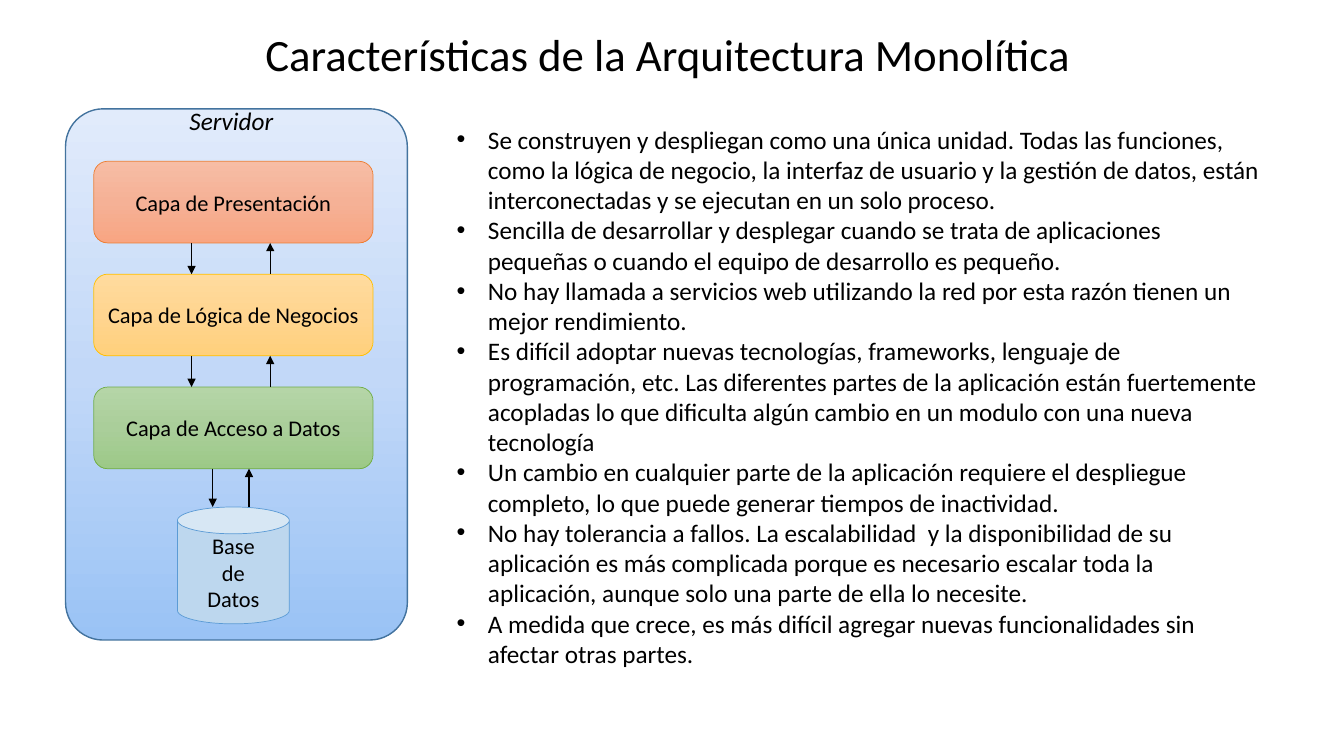
from copy import deepcopy

from lxml.etree import SubElement
from pptx import Presentation
from pptx.dml.color import RGBColor
from pptx.enum.shapes import MSO_CONNECTOR, MSO_SHAPE
from pptx.enum.text import MSO_ANCHOR, MSO_AUTO_SIZE, PP_ALIGN
from pptx.oxml.ns import qn
from pptx.util import Inches, Pt

FONT = "Calibri"
BLACK = "000000"
TITLE = "Características de la Arquitectura Monolítica"
LAYERS = [
    ("Capa de Presentación", ("F7BDA5", "F5B196", "F8A582"), "ED7D31"),
    ("Capa de Lógica de Negocios", ("FFDB9E", "FFD590", "FFD07C"), "FFC000"),
    ("Capa de Acceso a Datos", ("B5D5A7", "AACE9A", "9CC987"), "70AD47"),
]
FEATURES = [
    "Se construyen y despliegan como una única unidad. Todas las funciones, como la lógica de negocio, la interfaz de usuario y la gestión de datos, están interconectadas y se ejecutan en un solo proceso.",
    "Sencilla de desarrollar y desplegar cuando se trata de aplicaciones pequeñas o cuando el equipo de desarrollo es pequeño.",
    "No hay llamada a servicios web utilizando la red por esta razón tienen un mejor rendimiento.",
    "Es difícil adoptar nuevas tecnologías, frameworks, lenguaje de programación, etc. Las diferentes partes de la aplicación están fuertemente acopladas lo que dificulta algún cambio en un modulo con una nueva tecnología",
    "Un cambio en cualquier parte de la aplicación requiere el despliegue completo, lo que puede generar tiempos de inactividad.",
    "No hay tolerancia a fallos. La escalabilidad  y la disponibilidad de su aplicación es más complicada porque es necesario escalar toda la aplicación, aunque solo una parte de ella lo necesite.",
    "A medida que crece, es más difícil agregar nuevas funcionalidades sin afectar otras partes.",
]


def color(value):
    return RGBColor.from_string(value)


def place(shape, left, top, width, height):
    shape.left, shape.top = Inches(left), Inches(top)
    shape.width, shape.height = Inches(width), Inches(height)


def style_paragraph(para, size, align=PP_ALIGN.CENTER, italic=False):
    para.alignment = align
    para.space_before = Pt(0)
    para.font.name = FONT
    para.font.size = Pt(size)
    para.font.italic = italic
    para.font.color.rgb = color(BLACK)


def add_outlined(page, kind, box, line, width, adjustment):
    shape = page.shapes.add_shape(kind, *map(Inches, box))
    shape.shadow.inherit = False
    shape.adjustments[0] = adjustment
    shape.line.color.rgb = color(line)
    shape.line.width = Pt(width)
    return shape


def fill_gradient(shape, colors):
    shape.fill.gradient()
    shape.fill.gradient_angle = 270
    stop_list = shape.element.spPr.find(qn("a:gradFill")).find(qn("a:gsLst"))
    stop_list.insert(1, deepcopy(stop_list[0]))
    for index, stop in enumerate(shape.fill.gradient_stops):
        stop.position = index / 2
        stop.color.rgb = color(colors[index])


def add_label(shape, text, side_margin, wrap):
    frame = shape.text_frame
    frame.word_wrap = wrap
    frame.vertical_anchor = MSO_ANCHOR.MIDDLE
    frame.margin_left = frame.margin_right = Inches(side_margin)
    frame.margin_top = frame.margin_bottom = 0
    frame.text = text
    style_paragraph(frame.paragraphs[0], 16)


def add_arrow(page, x, start, end):
    arrow = page.shapes.add_connector(
        MSO_CONNECTOR.STRAIGHT, Inches(x), Inches(start), Inches(x), Inches(end))
    arrow.line.color.rgb = color(BLACK)
    arrow.line.width = Pt(1)
    SubElement(arrow.line._get_or_add_ln(), qn("a:tailEnd"), type="triangle")
    SubElement(arrow.element.spPr, qn("a:effectLst"))


def add_arrow_pair(page, down_x, up_x, top, bottom):
    add_arrow(page, down_x, top, bottom)
    add_arrow(page, up_x, bottom, top)


def add_title(page, left, top, width, height):
    title = page.shapes.title
    place(title, left, top, width, height)
    frame = title.text_frame
    frame.auto_size = MSO_AUTO_SIZE.NONE
    frame.word_wrap = False
    frame.vertical_anchor = MSO_ANCHOR.MIDDLE
    frame.text = TITLE
    style_paragraph(frame.paragraphs[0], 32)


def add_server(page, left, top, width, height):
    server = add_outlined(page, MSO_SHAPE.ROUNDED_RECTANGLE,
                          (left, top, width, height), "43739E", 1, 0.11)
    fill_gradient(server, ("E1EBFB", "C2D8F8", "9AC3F5"))

    caption = page.shapes.add_textbox(
        Inches(left + 1.07), Inches(top - 0.08), Inches(1.15), Inches(0.4))
    caption.text_frame.word_wrap = True
    caption.text_frame.text = "Servidor"
    style_paragraph(caption.text_frame.paragraphs[0], 18, italic=True)

    layer_left, layer_top = left + 0.28, top + 0.52
    layer_width, layer_height, gap = 2.77, 0.81, 0.31
    for index, (text, colors, line) in enumerate(LAYERS):
        y = layer_top + index * (layer_height + gap)
        layer = add_outlined(page, MSO_SHAPE.ROUNDED_RECTANGLE,
                             (layer_left, y, layer_width, layer_height), line, 0.5, 0.17)
        fill_gradient(layer, colors)
        add_label(layer, text, 0, False)
        if index:
            add_arrow_pair(page, left + 1.25, left + 2.03, y - gap, y)

    database_top = top + 3.95
    database = add_outlined(page, MSO_SHAPE.CAN,
                            (left + 1.11, database_top, 1.11, 1.16), "5B9BD5", 0.5, 0.24)
    database.fill.solid()
    database.fill.fore_color.rgb = color("BDD7EE")
    add_label(database, "Base de Datos", 0.22, True)
    add_arrow_pair(page, left + 1.46, left + 1.82, y + layer_height, database_top)


def add_features(page, left, top, width, height):
    body = page.placeholders[1]
    place(body, left, top, width, height)
    frame = body.text_frame
    frame.auto_size = MSO_AUTO_SIZE.NONE
    frame.word_wrap = True
    frame.vertical_anchor = MSO_ANCHOR.TOP
    frame.text = "\n".join(FEATURES)
    for para in frame.paragraphs:
        properties = para._p.get_or_add_pPr()
        properties.set("marL", str(Inches(0.31)))
        properties.set("indent", str(Inches(-0.31)))
        SubElement(properties, qn("a:buFont"), typeface="Arial")
        SubElement(properties, qn("a:buChar"), char="•")
        style_paragraph(para, 18, PP_ALIGN.LEFT)


def main():
    deck = Presentation()
    deck.slide_width, deck.slide_height = Inches(13.33), Inches(7.5)
    page = deck.slides.add_slide(deck.slide_layouts[1])
    add_title(page, 2.49, 0.21, 8.27, 0.64)
    add_server(page, 0.65, 1.08, 3.39, 5.27)
    add_features(page, 4.43, 1.18, 8.17, 5.55)
    deck.save("out.pptx")


if __name__ == "__main__":
    main()
